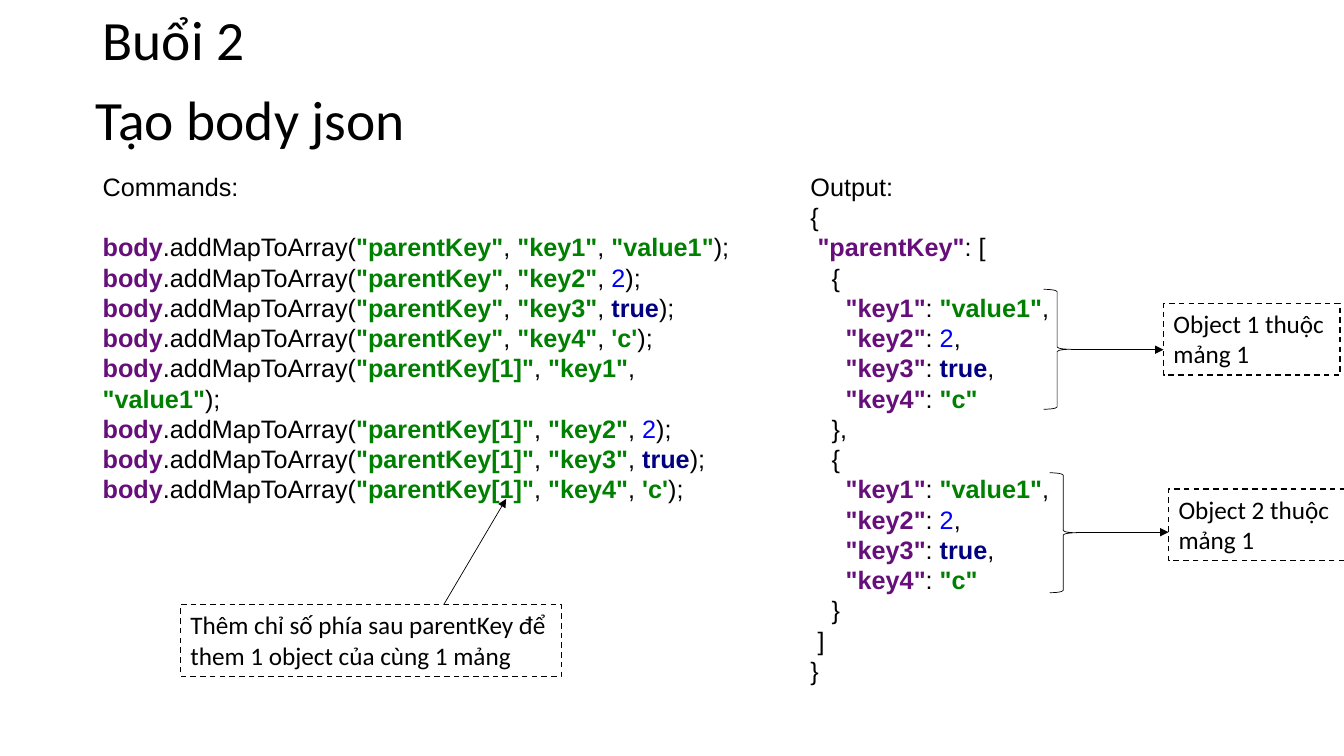
from pptx import Presentation
from pptx.dml.color import RGBColor
from pptx.enum.dml import MSO_LINE
from pptx.enum.shapes import MSO_CONNECTOR, MSO_SHAPE
from pptx.enum.text import MSO_ANCHOR, PP_ALIGN
from pptx.oxml.ns import qn
from pptx.util import Inches, Pt
from lxml import etree

RECT, BRACE = MSO_SHAPE.RECTANGLE, MSO_SHAPE.RIGHT_BRACE
STRAIGHT, DASH = MSO_CONNECTOR.STRAIGHT, MSO_LINE.DASH
MIDDLE, LEFT = MSO_ANCHOR.MIDDLE, PP_ALIGN.LEFT
BLACK, WHITE, PURPLE = "000000", "FFFFFF", "660E7A"
GREEN, BLUE, NAVY = "008000", "0000FF", "000080"
BOLD_COLORS = (PURPLE, GREEN, NAVY)
CODE_SIZE = 18
LINE_HEIGHT = 21.6  # points
INDENT = 0.07       # inches, one space of the code font


def rgb(value):
    return RGBColor.from_string(value)


def style(r, font, size, color=BLACK):
    r.font.name, r.font.size = font, Pt(size)
    r.font.color.rgb = rgb(color)
    r.font.bold = color in BOLD_COLORS


prs = Presentation()
prs.slide_width, prs.slide_height = Inches(13.33), Inches(7.5)
slide = prs.slides.add_slide(prs.slide_layouts[6])
shapes = slide.shapes

# Headings
for text, left, top, spacing in (("Buổi 2", 0.92, 0.09, 0.9),
                                 ("Tạo body json", 0.85, 0.9, 0.8)):
    sp = shapes.add_textbox(Inches(left), Inches(top), Inches(11.5), Inches(0.67))
    tf = sp.text_frame
    tf.word_wrap, tf.vertical_anchor = True, MIDDLE
    p = tf.paragraphs[0]
    p.text, p.line_spacing = text, spacing
    style(p.runs[0], "Calibri", 39.6)

# Code lines: (indent in spaces, space before in lines, coloured pieces)
entries = (('"key1"', '"value1"', GREEN), ('"key2"', "2", BLUE),
           ('"key3"', "true", NAVY), ('"key4"', "'c'", GREEN))
commands = [(0, 0, [("Commands:", BLACK)])]
output = [(0, 0, [("Output:", BLACK)]), (0, 0, [("{", BLACK)]),
          (1, 0, [('"parentKey"', PURPLE), (": [", BLACK)])]
for parent, closing in (('"parentKey"', "},"), ('"parentKey[1]"', "}")):
    output.append((3, 0, [("{", BLACK)]))
    for key, value, color in entries:
        gap = 1 if len(commands) == 1 else 0
        commands.append((0, gap, [
            ("body", PURPLE), (".addMapToArray(", BLACK), (parent, GREEN),
            (", ", BLACK), (key, GREEN), (", ", BLACK), (value, color),
            (");", BLACK)]))
        pieces = [(key, PURPLE), (": ", BLACK), (value.replace("'", '"'), color)]
        if key != entries[-1][0]:
            pieces.append((",", BLACK))
        output.append((5, 0, pieces))
    output.append((3, 0, [(closing, BLACK)]))
output += [(1, 0, [("]", BLACK)]), (0, 0, [("}", BLACK)])]

# Code columns
for lines, left, height in ((commands, 0.92, 3.43), (output, 7.94, 6.46)):
    sp = shapes.add_textbox(Inches(left), Inches(1.65), Inches(6.67), Inches(height))
    tf = sp.text_frame
    tf.word_wrap = True
    for i, (indent, gap, pieces) in enumerate(lines):
        p = tf.add_paragraph() if i else tf.paragraphs[0]
        p.line_spacing = Pt(LINE_HEIGHT)
        p.space_before = Pt(gap * LINE_HEIGHT)
        p._p.get_or_add_pPr().set("marL", str(Inches(indent * INDENT)))
        for text, color in pieces:
            r = p.add_run()
            r.text = text
            style(r, "Arial", CODE_SIZE, color)

# Dashed callouts
for text, left, top, width in (
        ("Thêm chỉ số phía sau parentKey để them 1 object của cùng 1 mảng", 1.79, 6, 3.78),
        ("Object 1 thuộc mảng 1", 11.54, 3.01, 1.75),
        ("Object 2 thuộc mảng 1", 11.59, 4.85, 1.75)):
    sp = shapes.add_shape(RECT, Inches(left), Inches(top), Inches(width), Inches(0.71))
    sp.shadow.inherit = False
    sp.fill.solid()
    sp.fill.fore_color.rgb = rgb(WHITE)
    sp.line.color.rgb = rgb(BLACK)
    sp.line.width, sp.line.dash_style = Pt(1), DASH
    tf = sp.text_frame
    tf.word_wrap, tf.vertical_anchor = True, MSO_ANCHOR.TOP
    p = tf.paragraphs[0]
    p.text, p.alignment = text, LEFT
    style(p.runs[0], "Calibri", 18)

# Braces around the two objects
for left, top in ((10.35, 2.87), (10.41, 4.69)):
    sp = shapes.add_shape(BRACE, Inches(left), Inches(top), Inches(0.27), Inches(1.19))
    sp.shadow.inherit = False
    sp.fill.background()
    sp.line.color.rgb, sp.line.width = rgb(BLACK), Pt(0.5)

# Arrows
for ends in ((4.4, 6, 5.02, 4.95), (10.62, 3.47, 11.54, 3.47),
             (10.67, 5.28, 11.59, 5.28)):
    line = shapes.add_connector(STRAIGHT, *(Inches(v) for v in ends))
    line.line.color.rgb, line.line.width = rgb(BLACK), Pt(0.5)
    etree.SubElement(line.line._get_or_add_ln(), qn("a:tailEnd"), type="triangle")
    etree.SubElement(line._element.spPr, qn("a:effectLst"))

prs.save("out.pptx")
